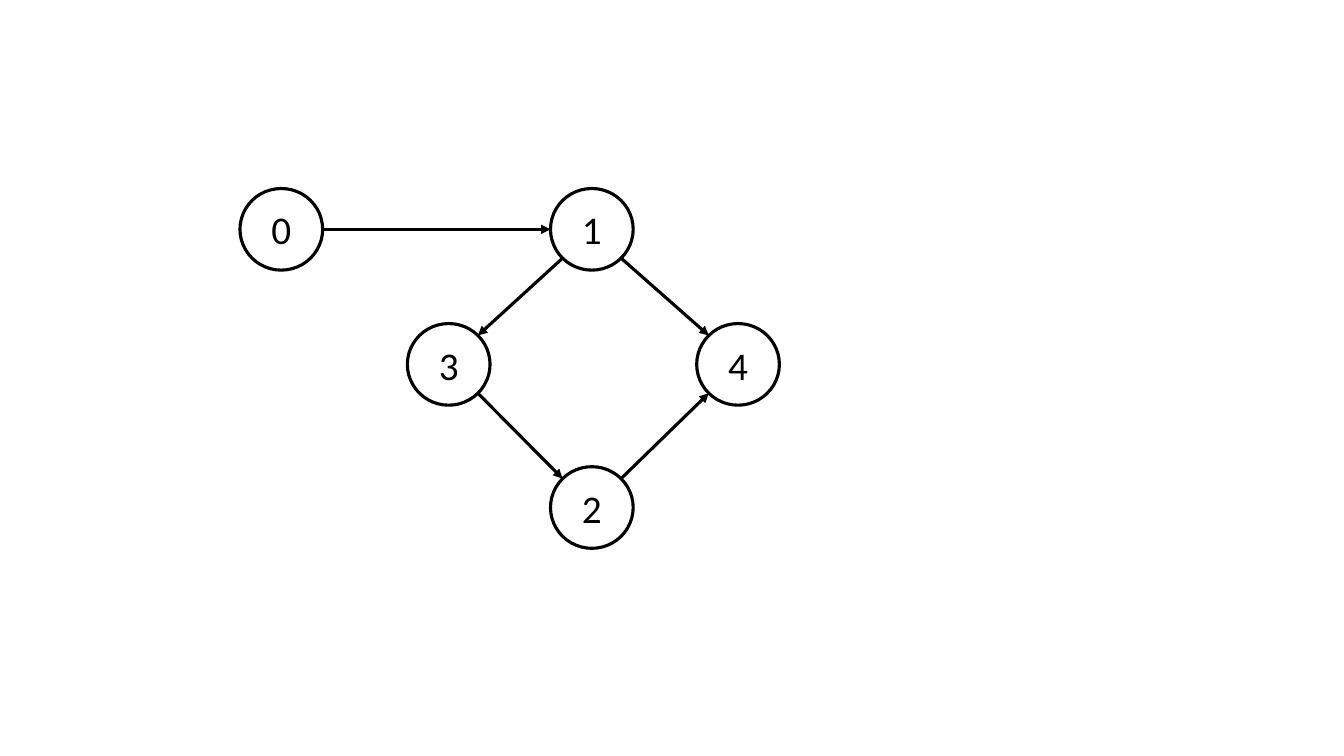
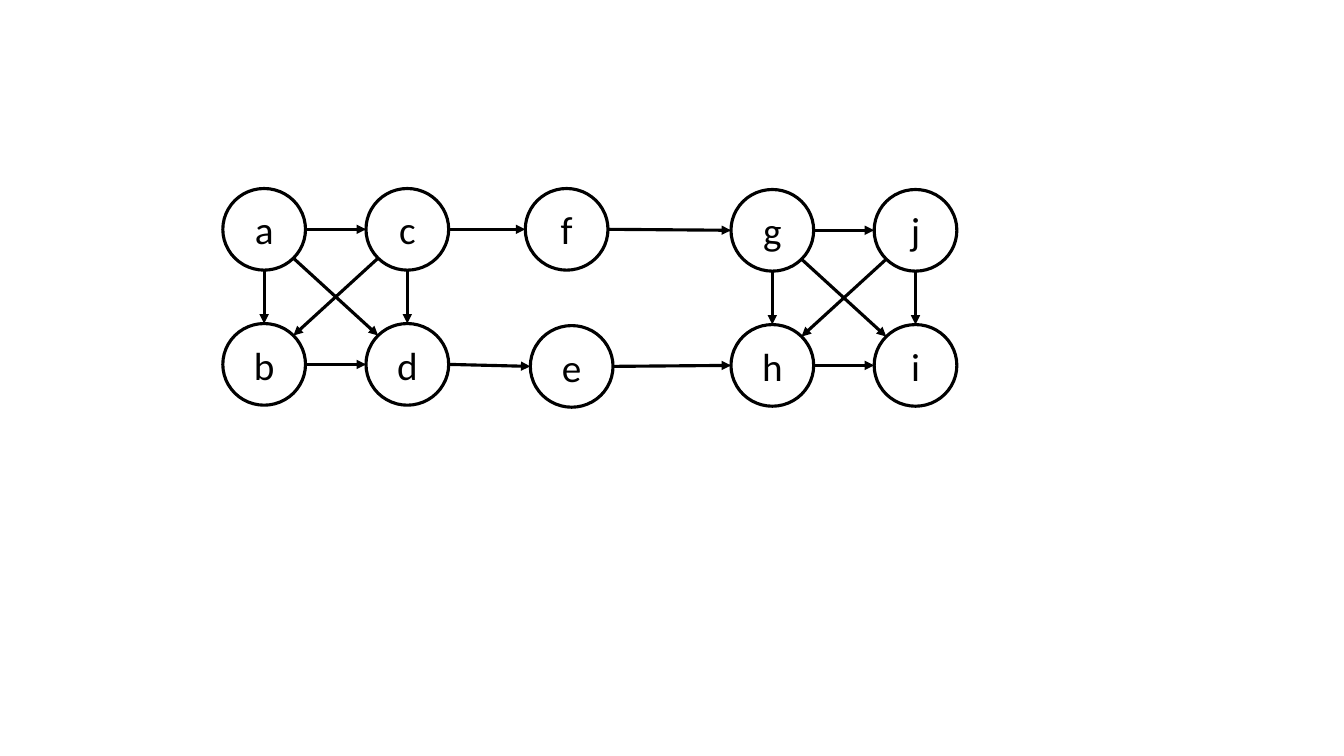
import math

from lxml import etree
from pptx import Presentation
from pptx import util as u
from pptx.dml.color import RGBColor
from pptx.enum import shapes, text
from pptx.oxml import ns

BLACK = RGBColor(0, 0, 0)
FONT = "Calibri"
NODE_WIDTH, NODE_HEIGHT = 0.82, 0.81
COLUMN_STEP, ROW_STEP = 1.42, 1.34
GRAPH_TOP = 1.87


def style_line(line):
    """Give an outline or arrow the shared stroke."""
    line.color.rgb = BLACK
    line.width = u.Pt(2.25)


def add_node(page, label, left, top):
    """Draw one labelled circle."""
    node = page.shapes.add_shape(
        shapes.MSO_SHAPE.OVAL, u.Inches(left), u.Inches(top),
        u.Inches(NODE_WIDTH), u.Inches(NODE_HEIGHT))
    node.shadow.inherit = False
    node.fill.background()
    style_line(node.line)
    node.text_frame.vertical_anchor = text.MSO_ANCHOR.MIDDLE
    para = node.text_frame.paragraphs[0]
    para.text = label
    para.alignment = text.PP_ALIGN.CENTER
    para.font.name = FONT
    para.font.size = u.Pt(28)
    para.font.color.rgb = BLACK
    return node


def rim_point(node, octant):
    """Return the point on a circle's rim at a multiple of 45 degrees."""
    angle = octant * math.pi / 4
    return (round(node.left + node.width / 2 * (1 + math.cos(angle))),
            round(node.top + node.height / 2 * (1 + math.sin(angle))))


def add_arrow(page, source, target):
    """Join two circles with a glued arrow between their facing rim points."""
    octant = round(math.atan2(target.top - source.top,
                              target.left - source.left) / (math.pi / 4))
    arrow = page.shapes.add_connector(
        shapes.MSO_CONNECTOR.STRAIGHT,
        *rim_point(source, octant), *rim_point(target, octant + 4))
    style_line(arrow.line)
    etree.SubElement(arrow.line._get_or_add_ln(), ns.qn("a:tailEnd"), type="triangle")
    etree.SubElement(arrow._element.spPr, ns.qn("a:effectLst"))
    glue = arrow._element.find(".//" + ns.qn("p:cNvCxnSpPr"))
    for tag, node, side in (("a:stCxn", source, octant), ("a:endCxn", target, octant + 4)):
        etree.SubElement(glue, ns.qn(tag), id=str(node.shape_id), idx=str((6 - side) % 8))


def add_graph(page, left, top, places, edges):
    """Draw a directed graph whose node places are relative to its box."""
    nodes = {label: add_node(page, label, left + x, top + y)
             for label, (x, y) in places.items()}
    for source, target in edges.split():
        add_arrow(page, nodes[source], nodes[target])


def square_places(labels, left, top):
    """Place four labels at the top and bottom of two columns."""
    return {label: (left + index // 2 * COLUMN_STEP, top + index % 2 * ROW_STEP)
            for index, label in enumerate(labels)}


def build_diamond(page):
    """Build the numbered graph with a diamond of four nodes."""
    places = {"0": (0, 0), "1": (3.08, 0), "3": (1.66, ROW_STEP),
              "4": (4.53, ROW_STEP), "2": (3.08, 2.76)}
    add_graph(page, 2.38, GRAPH_TOP, places, "01 13 14 32 24")


def build_linked_squares(page):
    """Build the lettered graph with two crossed squares and two bridges."""
    places = {**square_places("abcd", 0, 0), "f": (3, 0), "e": (3.05, 1.36),
              **square_places("ghji", 5.04, 0.01)}
    add_graph(page, 2.21, GRAPH_TOP, places,
              "ac ad cb ab bd cd gj gi jh gh hi ji cf fg de eh")


def main():
    """Build and save the deck."""
    deck = Presentation()
    deck.slide_width, deck.slide_height = u.Inches(13.33), u.Inches(7.5)
    for build in (build_diamond, build_linked_squares):
        build(deck.slides.add_slide(deck.slide_layouts[6]))
    deck.save("out.pptx")


if __name__ == "__main__":
    main()
